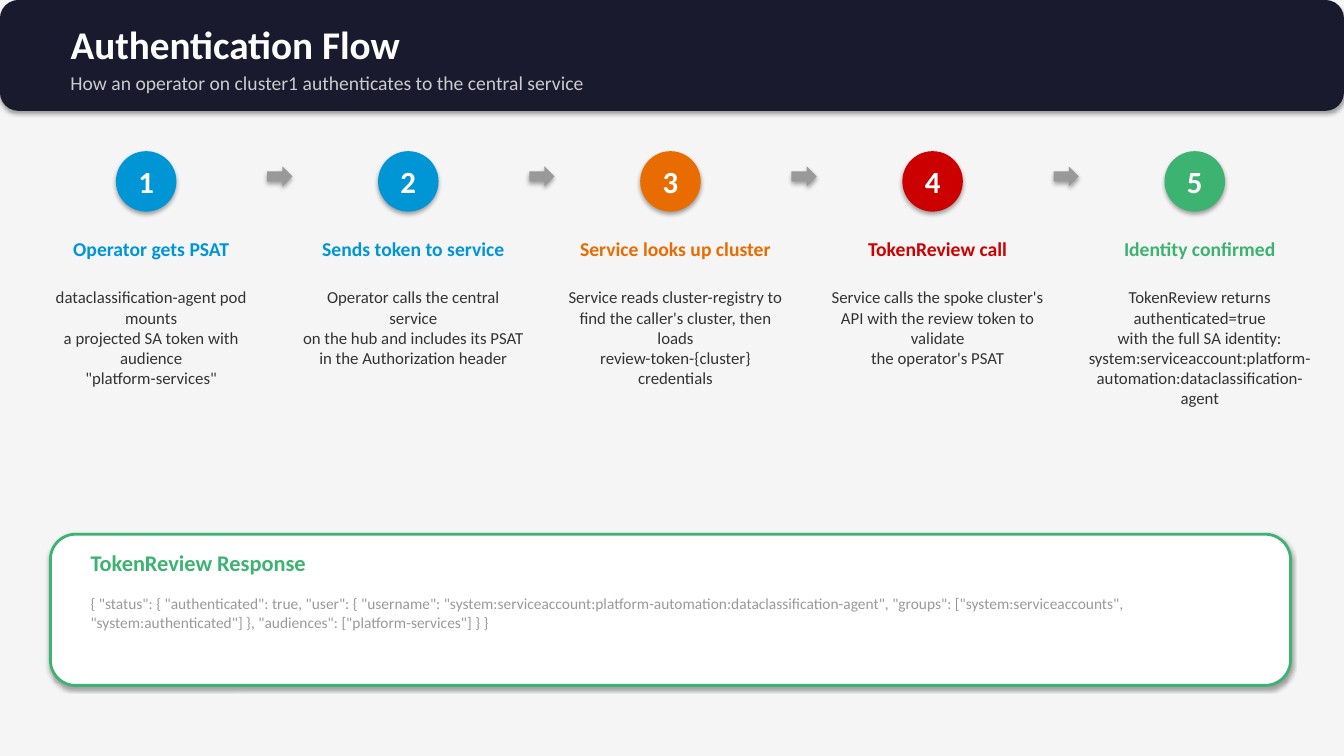
"""Build the authentication flow slide with five numbered steps and a response panel."""
from pptx import Presentation
from pptx.dml.color import RGBColor
from pptx.enum.shapes import MSO_SHAPE as Preset
from pptx.enum.text import MSO_ANCHOR as Anchor, MSO_AUTO_SIZE as AutoSize, PP_ALIGN as Align
from pptx.util import Inches, Pt

GREEN, GREY, WHITE = "3CB371", "999999", "FFFFFF"


def paint(target, color):
    target.solid()
    target.fore_color.rgb = RGBColor.from_string(color)


def write(box, text, size, color, bold=False, align=Align.LEFT, fit=True):
    frame = box.text_frame
    frame.word_wrap = fit
    frame.auto_size = AutoSize.SHAPE_TO_FIT_TEXT if fit else AutoSize.NONE
    frame.vertical_anchor = Anchor.TOP if fit else Anchor.MIDDLE
    para = frame.paragraphs[0]
    para.text = text
    para.alignment = align
    for span in para.runs:
        span.font.name = "Calibri"
        span.font.size = Pt(size)
        span.font.bold = bold
        paint(span.font.fill, color)


deck = Presentation()
deck.slide_width, deck.slide_height = Inches(13.33), Inches(7.5)
page = deck.slides.add_slide(deck.slide_layouts[5])
shapes = page.shapes
paint(page.background.fill, "F5F5F5")

banner = shapes.add_shape(Preset.ROUNDED_RECTANGLE, 0, 0, deck.slide_width, Inches(1.1))
paint(banner.fill, "1A1A2E")
banner.line.fill.background()

title = shapes.title
title.left, title.top, title.width, title.height = map(Inches, (0.6, 0.15, 10, 0.57))
write(title, "Authentication Flow", 28, WHITE, bold=True)
title.element.addprevious(banner.element)

subtitle = shapes.add_textbox(Inches(0.6), Inches(0.65), Inches(10), Inches(0.33))
write(subtitle, "How an operator on cluster1 authenticates to the central service", 14, "CCCCCC")

steps = [
    ("Operator gets PSAT", "0096D6", 1.1,
     ["dataclassification-agent pod mounts", "a projected SA token with audience",
      '"platform-services"']),
    ("Sends token to service", "0096D6", 0.9,
     ["Operator calls the central service", "on the hub and includes its PSAT",
      "in the Authorization header"]),
    ("Service looks up cluster", "E86C00", 1.1,
     ["Service reads cluster-registry to", "find the caller's cluster, then loads",
      "review-token-{cluster} credentials"]),
    ("TokenReview call", "CC0000", 0.9,
     ["Service calls the spoke cluster's", "API with the review token to validate",
      "the operator's PSAT"]),
    ("Identity confirmed", GREEN, 1.3,
     ["TokenReview returns authenticated=true", "with the full SA identity:",
      "system:serviceaccount:platform-", "automation:dataclassification-agent"]),
]

for index, (name, color, height, lines) in enumerate(steps):
    left = 0.3 + 2.6 * index
    if index:
        arrow = shapes.add_shape(Preset.RIGHT_ARROW, Inches(left - 0.25), Inches(1.65),
                                 Inches(0.25), Inches(0.2))
        paint(arrow.fill, GREY)
        arrow.line.fill.background()

    badge = shapes.add_shape(Preset.OVAL, Inches(left + 0.85), Inches(1.5),
                             Inches(0.6), Inches(0.6))
    paint(badge.fill, color)
    badge.line.fill.background()
    write(badge, str(index + 1), 22, WHITE, bold=True, align=Align.CENTER, fit=False)

    heading = shapes.add_textbox(Inches(left), Inches(2.3), Inches(2.4), Inches(0.33))
    write(heading, name, 14, color, bold=True, align=Align.CENTER)

    details = shapes.add_textbox(Inches(left), Inches(2.8), Inches(2.4), Inches(height))
    write(details, "\v".join(lines), 12, "333333", align=Align.CENTER)

panel = shapes.add_shape(Preset.ROUNDED_RECTANGLE, Inches(0.5), Inches(5.3),
                         Inches(12.3), Inches(1.5))
paint(panel.fill, WHITE)
paint(panel.line.fill, GREEN)
panel.line.width = Pt(2)

panel_heading = shapes.add_textbox(Inches(0.8), Inches(5.4), Inches(11.7), Inches(0.37))
write(panel_heading, "TokenReview Response", 16, GREEN, bold=True)

response = shapes.add_textbox(Inches(0.8), Inches(5.85), Inches(11.7), Inches(0.47))
write(response, '{ "status": { "authenticated": true, "user": { "username": '
      '"system:serviceaccount:platform-automation:dataclassification-agent", '
      '"groups": ["system:serviceaccounts", "system:authenticated"] }, '
      '"audiences": ["platform-services"] } }', 11, GREY)

deck.save("out.pptx")
